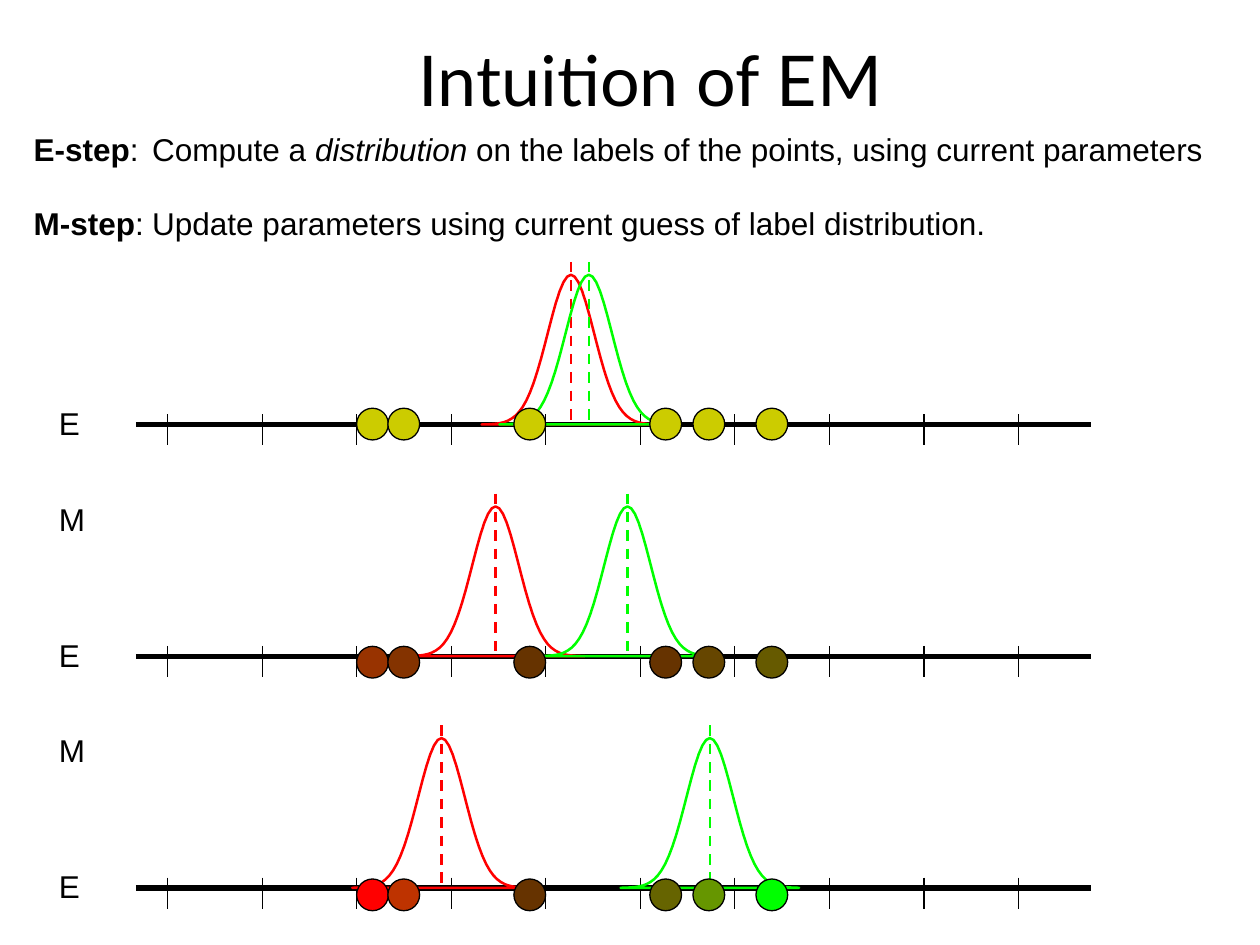
from collections import namedtuple
from math import exp

from lxml import etree
from pptx import Presentation
from pptx import util as u
from pptx.dml.color import RGBColor
from pptx.enum import dml, shapes, text
from pptx.oxml.ns import qn

Cm, Pt = u.Cm, u.Pt
Box = namedtuple("Box", "x y w h")
Row = namedtuple("Row", "means drop fills")


class Theme:
    ink = "000000"
    hues = ("FF0000", "00FF00")
    head, body = "Lato", "Arial"
    big, mid = 40, 18
    axis, thin, bell, dash = 3, 0.75, 1.45, 1.5


TICKS = 10
HALF, SIGMA, PEAK = 1.8, 0.47, 3.02
DOT = 0.64
DOTS = (4.45, 5.08, 7.62, 10.36, 11.23, 12.5)
ROWS = (
    Row((8.77, 9.13), -0.33, ("CCCC00",) * 6),
    Row((7.25, 9.91), -0.2,
        ("983300", "843300", "663300", "663300", "664600", "665A00")),
    Row((6.16, 11.57), -0.18,
        ("FF0000", "BE3300", "663300", "666400", "669600", "00FF00")),
)


def rgb(hue):
    return RGBColor.from_string(hue)


def add_text(slide, box, wrap=False):
    frame = slide.shapes.add_textbox(*map(Cm, box)).text_frame
    frame.word_wrap = wrap
    if not wrap:
        frame.auto_size = text.MSO_AUTO_SIZE.SHAPE_TO_FIT_TEXT
    return frame


def add_run(para, words, size=Theme.mid, face=Theme.body, bold=False, slant=False):
    run = para.add_run()
    run.text = words
    font = run.font
    font.size, font.name, font.bold, font.italic = Pt(size), face, bold, slant
    font.color.rgb = rgb(Theme.ink)


def set_tab(para, pos):
    tabs = etree.SubElement(para._p.get_or_add_pPr(), qn("a:tabLst"))
    etree.SubElement(tabs, qn("a:tab"), pos=str(Cm(pos)), algn="l")


def add_line(slide, x1, y1, x2, y2, width, hue=Theme.ink, dashed=False):
    rule = slide.shapes.add_connector(
        shapes.MSO_CONNECTOR.STRAIGHT, *map(Cm, (x1, y1, x2, y2)))
    rule.line.color.rgb = rgb(hue)
    rule.line.width = Pt(width)
    if dashed:
        rule.line.dash_style = dml.MSO_LINE.DASH
    etree.SubElement(rule._element.spPr, qn("a:effectLst"))


def add_bell(slide, mid, base, hue):
    """Closed normal curve centred on mid, standing on base."""
    steps = 48
    offs = [HALF * (2 * i / steps - 1) for i in range(steps + 1)]
    pts = [(Cm(mid + d), Cm(base - PEAK * exp(-(d / SIGMA) ** 2 / 2)))
           for d in offs]
    path = slide.shapes.build_freeform(*pts[0])
    path.add_line_segments(pts[1:], close=True)
    bell = path.convert_to_shape()
    bell.shadow.inherit = False
    bell.fill.background()
    bell.line.color.rgb = rgb(hue)
    bell.line.width = Pt(Theme.bell)


def add_dot(slide, x, y, hue):
    dot = slide.shapes.add_shape(
        shapes.MSO_SHAPE.OVAL, Cm(x), Cm(y), Cm(DOT), Cm(DOT))
    dot.shadow.inherit = False
    dot.fill.solid()
    dot.fill.fore_color.rgb = rgb(hue)
    dot.line.color.rgb = rgb(Theme.ink)
    dot.line.width = Pt(Theme.thin)


def add_title(slide, box):
    frame = add_text(slide, box, wrap=True)
    frame.vertical_anchor = text.MSO_ANCHOR.MIDDLE
    para = frame.paragraphs[0]
    para.alignment = text.PP_ALIGN.CENTER
    add_run(para, "Intuition of EM", Theme.big, Theme.head)


def add_steps(slide, box):
    frame = add_text(slide, box, wrap=True)
    first, last = frame.paragraphs[0], frame.add_paragraph()
    for para in (first, last):
        set_tab(para, 2.39)
    last.space_before = Pt(21)
    add_run(first, "E-step", bold=True)
    add_run(first, ": \tCompute a ")
    add_run(first, "distribution", slant=True)
    add_run(first, " on the labels of the points, using current parameters")
    add_run(last, "M-step", bold=True)
    add_run(last, ":\tUpdate parameters using current guess of label distribution.")


def add_row(slide, box, row):
    """One EM state: axis on the box's lower edge, two bells, six points."""
    base = box.y + box.h
    add_line(slide, box.x, base, box.x + box.w, base, Theme.axis)
    inset, span = 0.64, 17.15
    for i in range(TICKS):
        x = box.x + inset + i * span / (TICKS - 1)
        add_line(slide, x, base - 0.21, x, base + 0.42, Theme.thin)
    for mean, hue in zip(row.means, Theme.hues):
        x = box.x + mean
        add_bell(slide, x, base, hue)
        add_line(slide, x, box.y, x, base, Theme.dash, hue, dashed=True)
    for x, hue in zip(DOTS, row.fills):
        add_dot(slide, box.x + x, base + row.drop, hue)


def add_mark(slide, box, word):
    add_run(add_text(slide, box).paragraphs[0], word)


def main():
    deck = Presentation()
    deck.slide_width, deck.slide_height = Cm(25.4), Cm(19.05)
    slide = deck.slides.add_slide(deck.slide_layouts[6])
    add_title(slide, Box(1.68, 0, 22.86, 3.18))
    add_steps(slide, Box(0.43, 2.49, 24.5, 2.54))
    for i, row in enumerate(ROWS):
        box = Box(2.74, 5.28 + 4.67 * i, 19.25, 3.28)
        add_row(slide, box, row)
        left = box.x - 1.8
        add_mark(slide, Box(left, box.y + box.h - 0.54, 0.91, 1.02), "E")
        if i:
            add_mark(slide, Box(left, box.y, 1.04, 1.02), "M")
    deck.save("out.pptx")


if __name__ == "__main__":
    main()
